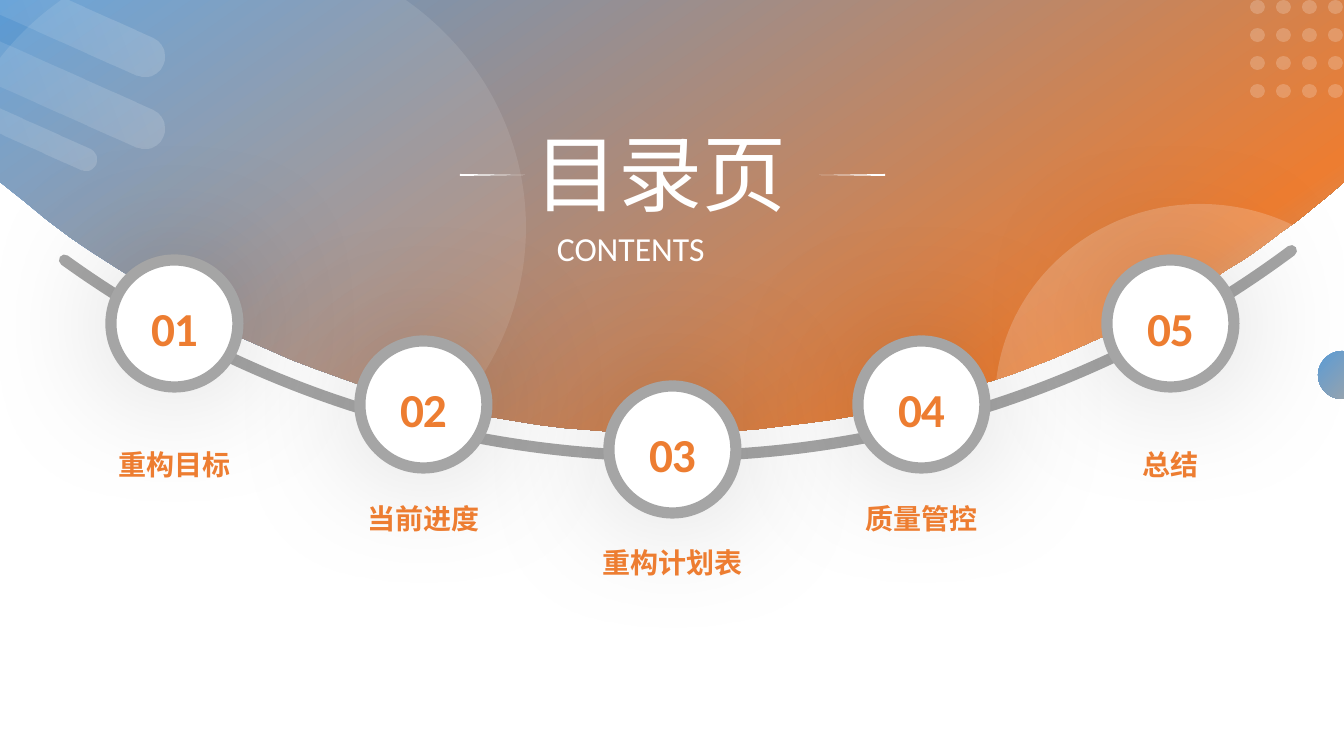
"""Builds a contents slide with five numbered stops along an arc."""
from lxml import etree
from pptx import Presentation
from pptx.dml.color import RGBColor
from pptx.enum.shapes import MSO_SHAPE
from pptx.enum.text import PP_ALIGN
from pptx.oxml import parse_xml
from pptx.oxml.ns import nsdecls, qn
from pptx.util import Pt

OVAL, ARC, ROUND = MSO_SHAPE.OVAL, MSO_SHAPE.ARC, MSO_SHAPE.ROUNDED_RECTANGLE
CENTER, JUSTIFY = PP_ALIGN.CENTER, PP_ALIGN.JUSTIFY
PX = 914400 / 100.8
C = {"blue": "5B9BD5", "orange": "ED7D31", "gray": "A5A5A5", "white": "FFFFFF", "black": "000000"}

prs = Presentation()
prs.slide_width, prs.slide_height = round(1344 * PX), round(756 * PX)
s = prs.slides.add_slide(prs.slide_layouts[6])


def paint(sp, stops, angle=0):
    """Fill a shape with (position, colour, opacity) stops, without line or shadow."""
    sp.shadow.inherit = False
    sp.line.fill.background()
    colors = [f'<a:srgbClr val="{C[c]}"><a:alpha val="{a * 1000}"/></a:srgbClr>' for _, c, a in stops]
    if len(stops) == 1:
        xml = f'<a:solidFill {nsdecls("a")}>{colors[0]}</a:solidFill>'
    else:
        gs = "".join(f'<a:gs pos="{stop[0] * 1000}">{color}</a:gs>' for stop, color in zip(stops, colors))
        xml = (f'<a:gradFill {nsdecls("a")} rotWithShape="1"><a:gsLst>{gs}</a:gsLst>'
               f'<a:lin ang="{angle * 60000}" scaled="0"/></a:gradFill>')
    sp._element.spPr.insert(2, parse_xml(xml))


def add_text(text, box, size, color, font="Calibri", align=CENTER, bold=False):
    """Add a one-paragraph text box and return its paragraph."""
    tf = s.shapes.add_textbox(*[round(v * PX) for v in box]).text_frame
    tf.word_wrap = True
    p = tf.paragraphs[0]
    p.text, p.alignment = text, align
    p.font.size, p.font.name, p.font.bold = Pt(size), font, bold
    p.font.color.rgb = RGBColor.from_string(C[color])
    return p


ends = [(1344, 182), (1042, 449), (471, 578), (0, 182)]
curve = []
for i in range(61):
    t = i / 60
    weights = [(1 - t) ** 3, 3 * t * (1 - t) ** 2, 3 * t ** 2 * (1 - t), t ** 3]
    curve.append([sum(w * pt[k] for w, pt in zip(weights, ends)) for k in (0, 1)])
fb = s.shapes.build_freeform(0, 0, scale=PX)
fb.add_line_segments([(1344, 0)] + curve)
paint(fb.convert_to_shape(), [(0, "blue", 100), (80, "orange", 100), (100, "gray", 100)], 55)

ovals = [(-59, -54, 585, 563, 10), (995, 204, 411, 396, 20)]
ovals += [(1250 + 26 * col, 28 * row, 15, 14, 20) for row in range(4) for col in range(4)]
for *box, opacity in ovals:
    paint(s.shapes.add_shape(OVAL, *[round(v * PX) for v in box]), [(0, "white", opacity)])

for x, y, w in [(-38, -141, 41), (-96, -114, 23), (-38, -213, 41)]:
    bar = s.shapes.add_shape(ROUND, *[round(v * PX) for v in (x, y, w, 394)])
    bar.adjustments[0] = 0.5
    bar.rotation = 114.1
    paint(bar, [(0, "white", 20), (100, "white", 0)], 45)

stops = [("重构目标", 258, 443), ("当前进度", 339, 497), ("重构计划表", 384, 541),
         ("质量管控", 339, 497), ("总结", 258, 443)]
arcs = [(-367, -1621, 2077, 32.01, 75.46)]
arcs += [(111 + 249 * i, top + 2, 127, 162, 161.7) for i, (_, top, _) in enumerate(stops)]

for i, (x, y, size, start, end) in enumerate(arcs):
    if i:
        disc = s.shapes.add_shape(OVAL, *[round(v * PX) for v in (x - 2, y - 2, 132, 132)])
        paint(disc, [(0, "white", 100)])
        glow = etree.SubElement(disc._element.spPr.find(qn("a:effectLst")), qn("a:outerShdw"),
                                blurRad=str(Pt(100)), dist="0", dir="0", algn="ctr", rotWithShape="0")
        shade = etree.SubElement(glow, qn("a:srgbClr"), val=C["black"])
        etree.SubElement(shade, qn("a:alpha"), val="18000")
    arc = s.shapes.add_shape(ARC, *[round(v * PX) for v in (x, y, size, size)])
    arc.adjustments[0], arc.adjustments[1] = start, end
    arc.shadow.inherit = False
    arc.fill.background()
    arc.line.color.rgb = RGBColor.from_string(C["gray"])
    arc.line.width = Pt(8)
    arc._element.spPr.find(qn("a:ln")).set("cap", "rnd")

for i, (label, top, label_top) in enumerate(stops):
    left = 109 + 249 * i
    p = add_text(f"{i + 1:02}", (left + 13, top + 36, 105, 67), 33.8, "orange", bold=True)
    p.runs[0].font._element.set("spc", "-90")
    add_text(label, (left - 45, label_top, 221, 44), 20, "orange", bold=True)

add_text("目录页", (525, 117, 293, 112), 60, "white", "Arial", JUSTIFY)
add_text("CONTENTS", (547, 215, 249, 54), 24, "white", align=JUSTIFY).line_spacing = 1.2
for outer, inner in [(460, 525), (885, 819)]:
    fb = s.shapes.build_freeform(outer, 174, scale=PX)
    fb.add_line_segments([(inner, 175), (outer, 176)])
    paint(fb.convert_to_shape(), [(0, "white", 100)])

edge_dot = s.shapes.add_shape(OVAL, *[round(v * PX) for v in (1318, 351, 48, 48)])
paint(edge_dot, [(0, "blue", 100), (100, "gray", 100)], 45)

prs.save("out.pptx")
